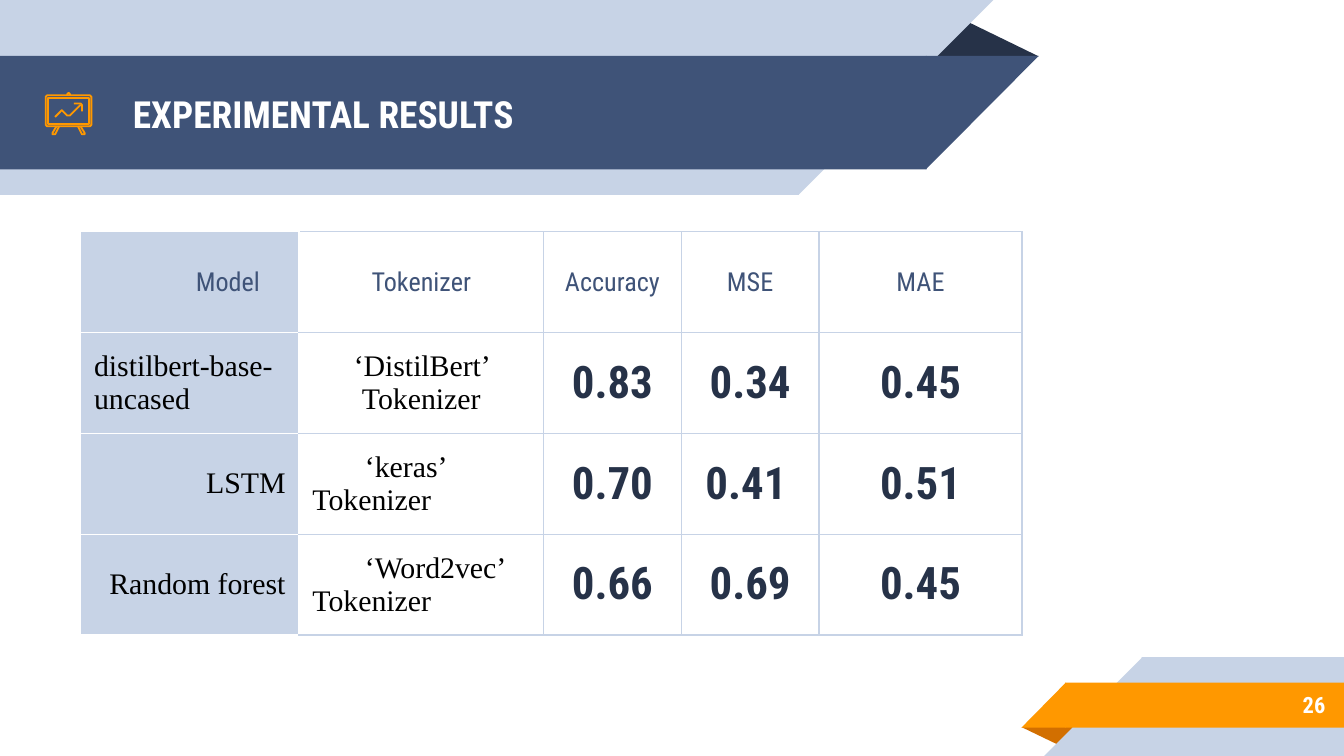
from dataclasses import dataclass

from lxml import etree
from pptx import Presentation
from pptx.dml.color import RGBColor
from pptx.enum.shapes import MSO_SHAPE
from pptx.enum.text import MSO_ANCHOR, PP_ALIGN
from pptx.oxml.ns import qn
from pptx.util import Inches, Pt

RECTANGLE, CORNER, TRIANGLE = MSO_SHAPE.RECTANGLE, MSO_SHAPE.RIGHT_TRIANGLE, MSO_SHAPE.ISOSCELES_TRIANGLE
LEFT, CENTER, RIGHT = PP_ALIGN.LEFT, PP_ALIGN.CENTER, PP_ALIGN.RIGHT
MIDDLE = MSO_ANCHOR.MIDDLE


@dataclass(frozen=True)
class Theme:
    white: str = "FFFFFF"
    black: str = "000000"
    pale: str = "C7D3E6"
    blue: str = "3F5378"
    navy: str = "263248"
    orange: str = "FF9800"
    rust: str = "D26F00"
    sans: str = "Roboto Condensed"
    serif: str = "Times New Roman"
    title: float = 20
    header: float = 14
    label: float = 16
    value: float = 24
    number: float = 12
    border: float = 0.75
    icon: float = 0.96


theme = Theme()
presentation = Presentation()
presentation.slide_width = Inches(10)
presentation.slide_height = presentation.slide_width * 9 // 16
COLUMN = presentation.slide_width / 100
ROW = presentation.slide_height / 56.25
slide = presentation.slides.add_slide(presentation.slide_layouts[6])


def grid(left, top, width, height):
    return [round(left * COLUMN), round(top * ROW), round(width * COLUMN), round(height * ROW)]


def write(paragraph, text, font_name, size, color, bold, alignment):
    paragraph.text = text
    paragraph.alignment = alignment
    font = paragraph.font
    font.name, font.size, font.bold = font_name, Pt(size), bold
    font.color.rgb = RGBColor.from_string(color)


banners = [
    (TRIANGLE, (68.8, 1.4, 8.5, 2.8), theme.navy, 0, False),
    (RECTANGLE, (0, 0, 59.45, 14.5), theme.pale, 180, True),
    (CORNER, (59.4, 0, 14.5, 14.5), theme.pale, 180, True),
    (RECTANGLE, (0, 4.15, 68.95, 8.45), theme.blue, 180, True),
    (CORNER, (68.9, 4.15, 8.4, 8.45), theme.blue, 180, True),
    (TRIANGLE, (76, 54.1, 4.3, 1.4), theme.rust, 180, False),
    (RECTANGLE, (84.95, 48.9, 15.05, 7.35), theme.pale, 0, True),
    (CORNER, (77.7, 48.9, 7.3, 7.35), theme.pale, 0, True),
    (RECTANGLE, (79.25, 50.8, 20.75, 3.35), theme.orange, 0, True),
    (CORNER, (76, 50.8, 3.3, 3.35), theme.orange, 0, True),
]
for kind, area, color, rotation, mirrored in banners:
    shape = slide.shapes.add_shape(kind, *grid(*area))
    shape.shadow.inherit = False
    shape.fill.solid()
    shape.fill.fore_color.rgb = RGBColor.from_string(color)
    shape.line.fill.background()
    shape.rotation = rotation
    if mirrored:
        shape._element.spPr.xfrm.set("flipH", "1")
    if kind == TRIANGLE:
        shape.adjustments[0] = 0.324

captions = [
    ("EXPERIMENTAL RESULTS", (8.9, 4.25, 57.5, 8.4), theme.title, LEFT),
    ("26", (83.3, 50.7, 16.3, 3.5), theme.number, RIGHT),
]
for text, area, size, alignment in captions:
    frame = slide.shapes.add_textbox(*grid(*area)).text_frame
    frame.word_wrap = True
    frame.vertical_anchor = MIDDLE
    frame.margin_left = frame.margin_right = round(COLUMN)
    frame.margin_top = frame.margin_bottom = round(ROW)
    write(frame.paragraphs[0], text, theme.sans, size, theme.white, True, alignment)

results = [
    ("Model", "Tokenizer", "Accuracy", "MSE", "MAE"),
    ("distilbert-base-uncased", "‘DistilBert’ Tokenizer", "0.83", "0.34", "0.45"),
    ("LSTM", "‘keras’ Tokenizer", "0.70", "0.41", "0.51"),
    ("Random forest", "‘Word2vec’ Tokenizer", "0.66", "0.69", "0.45"),
]
column_widths = [16.25, 18.2, 10.25, 10.25, 15.1]
row_height = 7.5
alignments = {(0, 0): RIGHT, (1, 0): LEFT, (2, 0): RIGHT, (3, 0): RIGHT,
              (2, 1): LEFT, (3, 1): LEFT, (2, 3): LEFT}
first_line_indents = {(2, 1): 3.9, (3, 1): 3.9, (2, 3): 0.8}
header_style = (theme.sans, theme.header, theme.blue, False)
label_style = (theme.serif, theme.label, theme.black, False)
value_style = (theme.sans, theme.value, theme.navy, True)

table_area = grid(6, 17.25, sum(column_widths), row_height * len(results))
table = slide.shapes.add_table(len(results), len(column_widths), *table_area).table
table.first_row = table.horz_banding = False
for column, width in zip(table.columns, column_widths):
    column.width = round(width * COLUMN)
for row_index, texts in enumerate(results):
    table.rows[row_index].height = round(row_height * ROW)
    for column_index, text in enumerate(texts):
        position = (row_index, column_index)
        cell = table.cell(*position)
        cell.vertical_anchor = MIDDLE
        cell.margin_left = round(COLUMN)
        cell.margin_right = round(COLUMN * (2.9 if position == (0, 0) else 1))
        cell.margin_top = cell.margin_bottom = round(0.7 * ROW)
        style = header_style if row_index == 0 else label_style if column_index < 2 else value_style
        paragraph = cell.text_frame.paragraphs[0]
        write(paragraph, text, *style, alignments.get(position, CENTER))
        if position in first_line_indents:
            paragraph._p.get_or_add_pPr().set("indent", str(round(first_line_indents[position] * COLUMN)))
        properties = cell._tc.get_or_add_tcPr()
        for side in ("lnL", "lnR", "lnT", "lnB"):
            white_side = column_index == 0 or (column_index == 1 and side == "lnL")
            border = etree.SubElement(properties, qn(f"a:{side}"), w=str(Pt(theme.border)))
            fill = etree.SubElement(border, qn("a:solidFill"))
            etree.SubElement(fill, qn("a:srgbClr"), val=theme.white if white_side else theme.pale)
        if column_index == 0:
            cell.fill.solid()
            cell.fill.fore_color.rgb = RGBColor.from_string(theme.pale)
        else:
            cell.fill.background()

icon_outlines = [
    ([(35, 71), (67, 71), (68, 72), (68, 93), (67, 94), (35, 94), (34, 93), (34, 72)], True),
    ([(52, 71), (52, 70), (51, 69), (50, 70), (50, 71)], False),
    ([(42, 94), (39, 99), (39, 100), (41, 100), (44, 94)], False),
    ([(58, 94), (61, 100), (63, 100), (63, 99), (60, 94)], False),
    ([(36, 73), (36, 92), (66, 92), (66, 73)], True),
    ([(60, 78), (52, 86), (50, 86), (46, 82), (41, 87)], False),
    ([(55, 77), (60, 77), (61, 78), (61, 83)], False),
]
for points, closed in icon_outlines:
    builder = slide.shapes.build_freeform(*points[0], scale=(COLUMN / 10, ROW / 10))
    builder.add_line_segments(points[1:], close=closed)
    shape = builder.convert_to_shape()
    shape.shadow.inherit = False
    shape.fill.background()
    shape.line.color.rgb = RGBColor.from_string(theme.orange)
    shape.line.width = Pt(theme.icon)

presentation.save("out.pptx")
